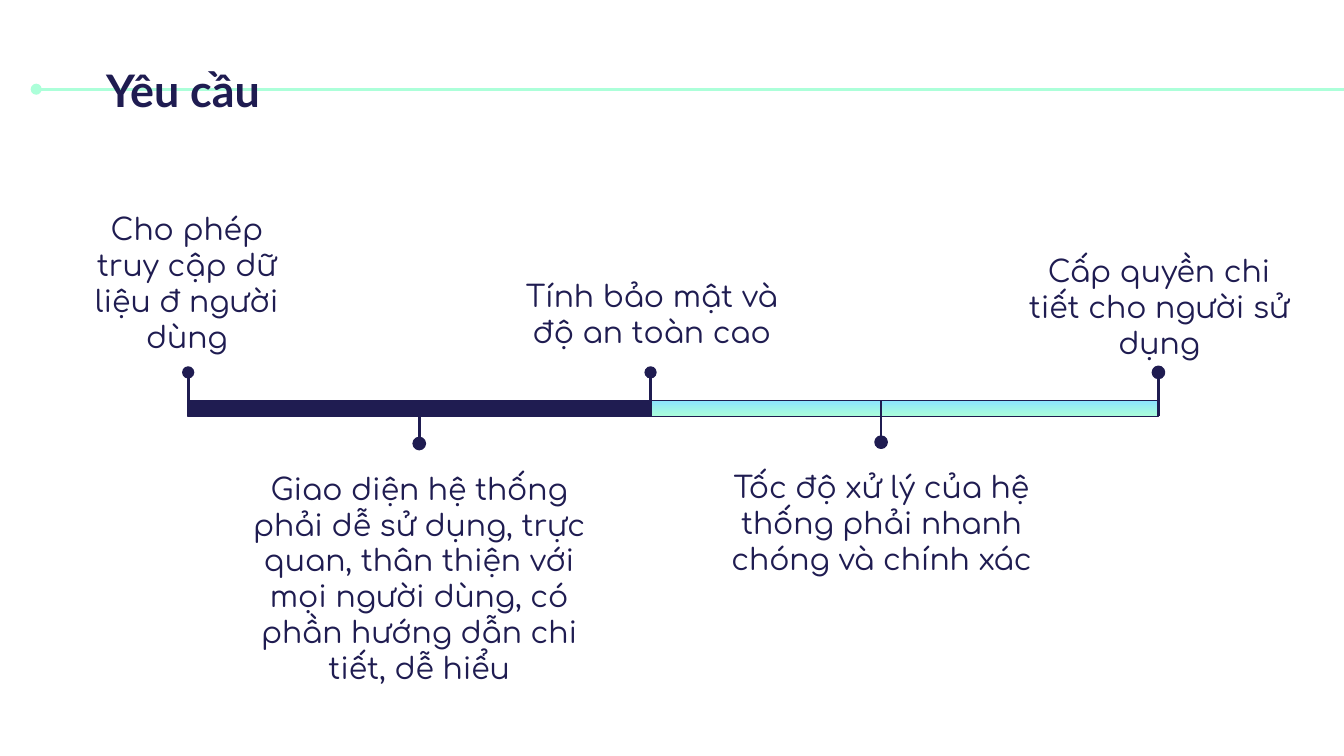
"""Build the requirements timeline slide."""
import dataclasses

import lxml.etree
import pptx
import pptx.dml.color
import pptx.enum.shapes
import pptx.enum.text
import pptx.oxml.ns
import pptx.util

Pt = pptx.util.Pt
COLORS = {"navy": "1F1C51", "sky": "8BE3FF", "mint": "ACFFD9", "paper": "FFFFFF"}
BAR_TOP, BAR_HEIGHT = 214.5, 8.6
BAR_BOTTOM = BAR_TOP + BAR_HEIGHT
DOT_SIZE = 5.8
INSET = 7.2


@dataclasses.dataclass
class Requirement:
    """A label, its marker on the bar and the segment that starts there."""
    text: str
    x: float
    dot_y: float
    dot_outline: float
    label_box: tuple[float, float, float, float]
    segment: str = ""
    space_after: float = 16


REQUIREMENTS = [
    Requirement("Cho phép truy cập dữ liệu đ người dùng",
                100.8, 199.5, 0.75, (38.2, 105.8, 123.8, 86.4), "navy", 0),
    Requirement("Giao diện hệ thống phải dễ sử dụng, trực quan, thân thiện "
                "với mọi người dùng, có phần hướng dẫn chi tiết, dễ hiểu",
                224.6, 237.6, 1.5, (126.7, 244.8, 195.8, 123.1), "navy"),
    Requirement("Tính bảo mật và độ an toàn cao",
                348.5, 199.5, 0.75, (272.2, 141.8, 154.1, 50.4), "gradient"),
    Requirement("Tốc độ xử lý của hệ thống phải nhanh chóng và chính xác",
                472, 236.9, 1.5, (378.7, 244.1, 187.2, 71.3), "gradient"),
    Requirement("Cấp quyền chi tiết cho người sử dụng",
                620.6, 199.5, 1.5, (540, 128.2, 162, 64.8)),
]


def rgb(name: str) -> pptx.dml.color.RGBColor:
    """Return a palette colour."""
    return pptx.dml.color.RGBColor.from_string(COLORS[name])


def add_line(slide, start: tuple, end: tuple, color: str, head: str = "") -> None:
    """Draw a straight line, optionally with a head at its start."""
    line = slide.shapes.add_connector(
        pptx.enum.shapes.MSO_CONNECTOR.STRAIGHT, *map(Pt, start + end))
    line.line.color.rgb = rgb(color)
    line.line.width = Pt(1.5)
    qn = pptx.oxml.ns.qn
    if head:
        lxml.etree.SubElement(line.line._get_or_add_ln(), qn("a:headEnd"), type=head)
    lxml.etree.SubElement(line.element.spPr, qn("a:effectLst"))


def add_solid(slide, kind, box: tuple, fill: str, outline: float) -> None:
    """Draw an outlined shape in navy or in the sky-to-mint gradient."""
    solid = slide.shapes.add_shape(kind, *map(Pt, box))
    solid.shadow.inherit = False
    if fill == "gradient":
        solid.fill.gradient()
        solid.fill.gradient_angle = 270
        for stop, color in zip(solid.fill.gradient_stops, ("sky", "mint")):
            stop.color.rgb = rgb(color)
    else:
        solid.fill.solid()
        solid.fill.fore_color.rgb = rgb(fill)
    solid.line.color.rgb = rgb("navy")
    solid.line.width = Pt(outline)


def write_text(holder, text: str, font: str, size: float, bold: bool, align: str):
    """Fill a text holder with one run and return its paragraph."""
    frame = holder.text_frame
    frame.word_wrap = True
    frame.auto_size = pptx.enum.text.MSO_AUTO_SIZE.NONE
    frame.vertical_anchor = pptx.enum.text.MSO_ANCHOR.TOP
    frame.margin_left = frame.margin_right = Pt(INSET)
    frame.margin_top = frame.margin_bottom = Pt(INSET)
    paragraph = frame.paragraphs[0]
    paragraph.alignment = pptx.enum.text.PP_ALIGN[align]
    run = paragraph.add_run()
    run.text = text
    run.font.name, run.font.size, run.font.bold = font, Pt(size), bold
    run.font.color.rgb = rgb("navy")
    return paragraph


def add_header(slide) -> None:
    """Draw the header rule and put the title over it."""
    add_line(slide, (19.4, 47.8), (720, 47.8), "mint", "oval")
    title = slide.shapes.title
    title.left, title.top = Pt(49.7), Pt(26.6)
    title.width, title.height = Pt(478.8), Pt(42.5)
    write_text(title, "Yêu cầu", "Lato", 24, True, "LEFT")
    title.element.getparent().append(title.element)


def add_marker(slide, requirement: Requirement) -> None:
    """Draw the stem and dot of a requirement."""
    x, y = requirement.x, requirement.dot_y
    far_edge = BAR_BOTTOM if y < BAR_TOP else BAR_TOP
    add_line(slide, (x, y), (x, far_edge), "navy")
    add_solid(slide, pptx.enum.shapes.MSO_SHAPE.OVAL,
              (x - DOT_SIZE / 2, y - DOT_SIZE / 2, DOT_SIZE, DOT_SIZE),
              "navy", requirement.dot_outline)


def add_label(slide, requirement: Requirement) -> None:
    """Write the wording of a requirement."""
    label = slide.shapes.add_textbox(*map(Pt, requirement.label_box))
    paragraph = write_text(label, requirement.text, "Comfortaa", 16, False, "CENTER")
    paragraph.space_after = Pt(requirement.space_after)


def main() -> None:
    """Build and save the presentation."""
    presentation = pptx.Presentation()
    presentation.slide_width, presentation.slide_height = Pt(720), Pt(405)
    slide = presentation.slides.add_slide(presentation.slide_layouts[5])
    slide.background.fill.solid()
    slide.background.fill.fore_color.rgb = rgb("paper")
    add_header(slide)
    for current, following in zip(REQUIREMENTS, REQUIREMENTS[1:]):
        add_solid(slide, pptx.enum.shapes.MSO_SHAPE.RECTANGLE,
                  (current.x, BAR_TOP, following.x - current.x, BAR_HEIGHT),
                  current.segment, 0.75)
    for requirement in REQUIREMENTS:
        add_marker(slide, requirement)
        add_label(slide, requirement)
    presentation.save("out.pptx")


if __name__ == "__main__":
    main()
